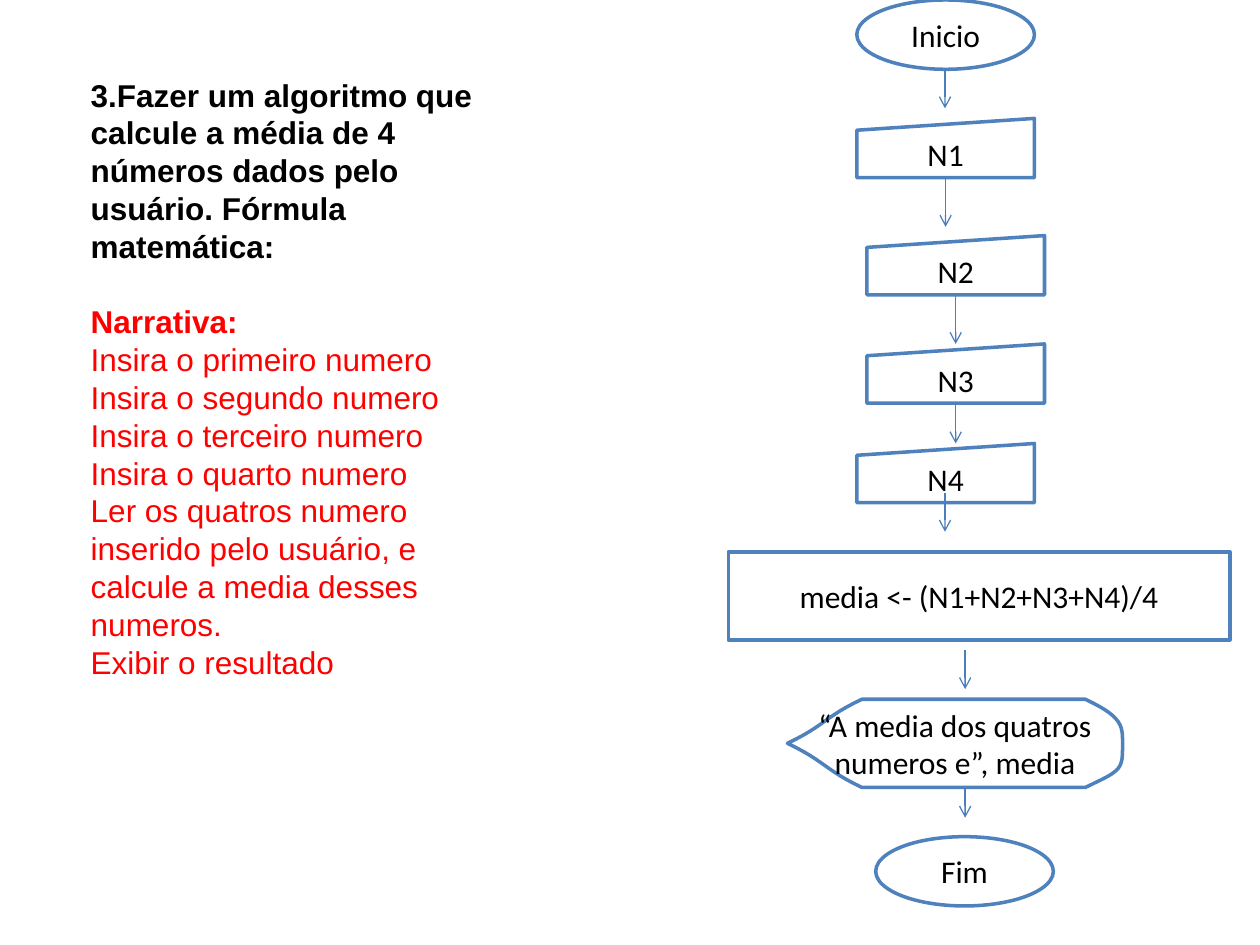
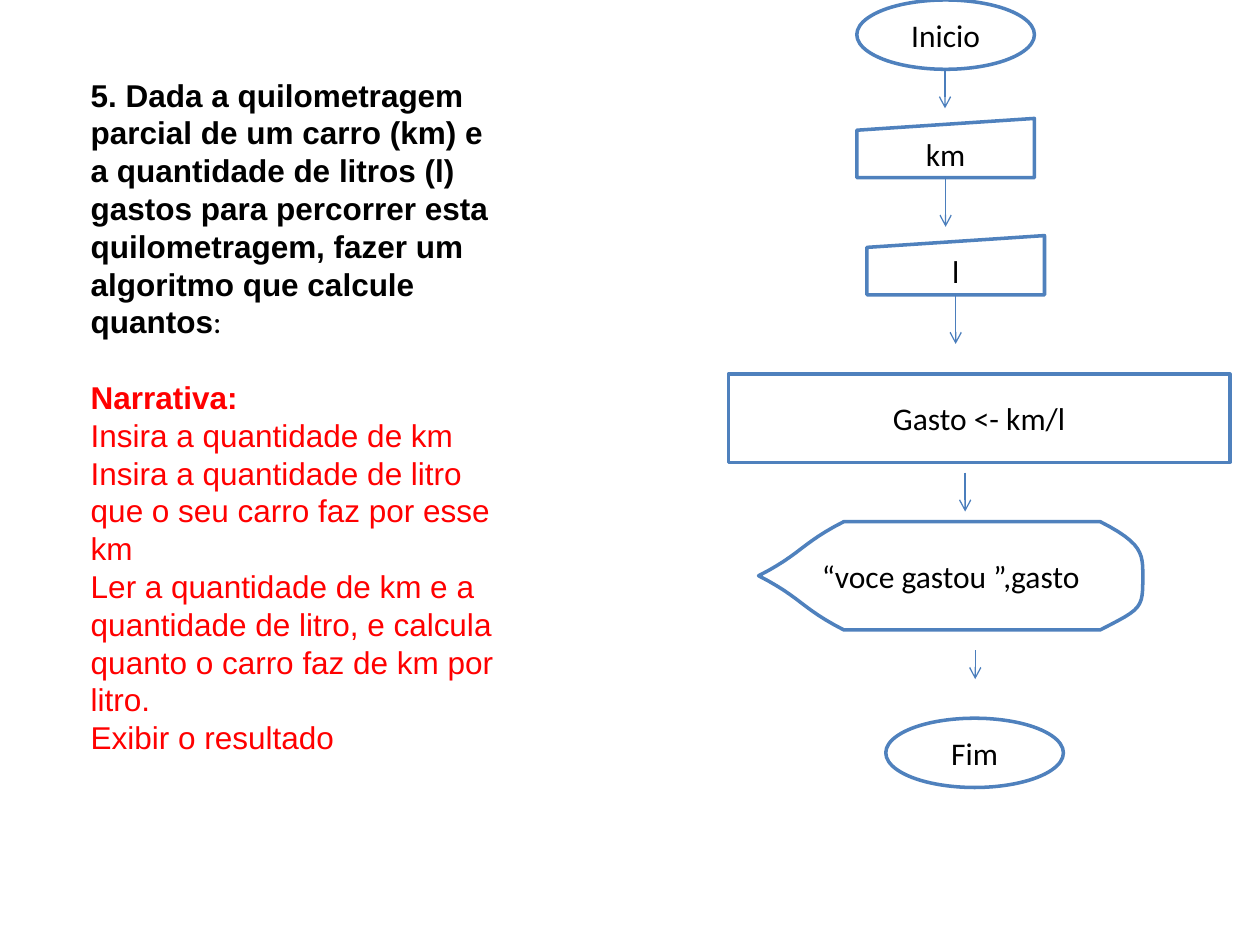
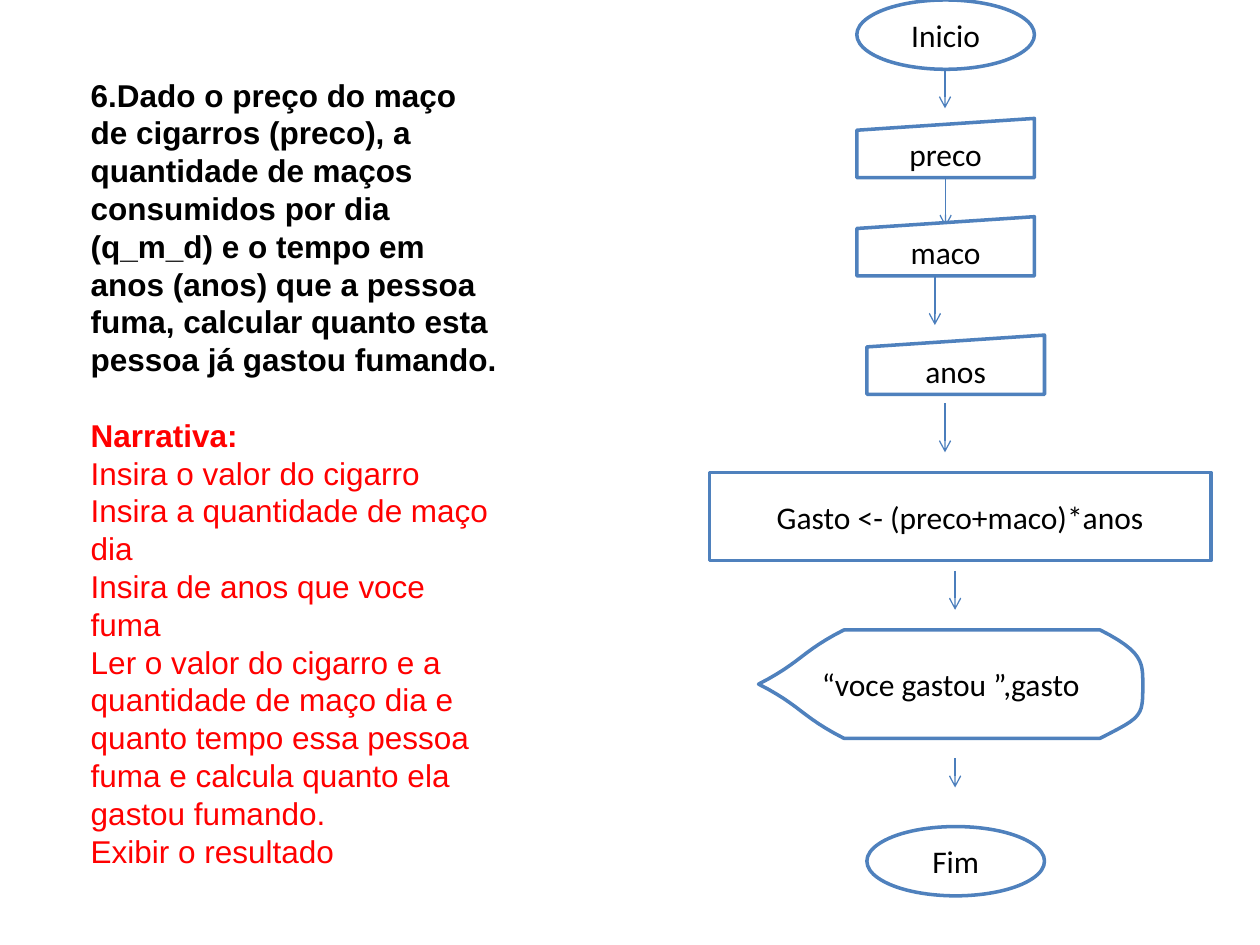
from lxml import etree
from pptx import Presentation
from pptx import util as u
from pptx.dml.color import RGBColor
from pptx.enum import shapes, text
from pptx.oxml.ns import qn

BLACK = RGBColor(0x00, 0x00, 0x00)
WHITE = RGBColor(0xFF, 0xFF, 0xFF)
RED = RGBColor(0xFF, 0x00, 0x00)
OUTLINE = RGBColor(0x4F, 0x81, 0xBD)
ARROW = RGBColor(0x4B, 0x7E, 0xBC)

TEXT_FONT = "Arial"
CHART_FONT = "Calibri"
LINE_HEIGHT = u.Pt(21.6)
BOTTOM = 2

# Display symbol outline as fractions of its width and height
DISPLAY_START = (0, 0.5)
DISPLAY_CURVES = [
    [(0, 0.5), (1 / 9, 0.3), (1 / 9, 0.2), (2 / 9, 0)],
    [(8 / 9, 0), (1, 0.2), (1, 0.3), (1, 0.5)],
    [(1, 0.5), (1, 0.8), (1, 0.8), (8 / 9, 1)],
    [(2 / 9, 1), (1 / 9, 0.8), (1 / 9, 0.7), (0, 0.5)],
]


def add_text(paragraph, content, font=CHART_FONT, color=BLACK, bold=False, size=18):
    run = paragraph.add_run()
    run.text = content
    run.font.name = font
    run.font.size = u.Pt(size)
    run.font.bold = bold
    run.font.color.rgb = color


def curve_points(curve, steps=12):
    """Points along a cubic curve, from its start to its end."""
    for step in range(steps + 1):
        t = step / steps
        weights = ((1 - t) ** 3, 3 * t * (1 - t) ** 2, 3 * t * t * (1 - t), t ** 3)
        yield tuple(sum(w * point[axis] for w, point in zip(weights, curve))
                    for axis in (0, 1))


class FlowchartDeck:
    def __init__(self):
        self.presentation = Presentation()
        self.presentation.slide_width = u.Inches(10)
        self.presentation.slide_height = u.Inches(7.5)
        self.slide = None

    def new_slide(self):
        layout = self.presentation.slide_layouts[1]
        self.slide = self.presentation.slides.add_slide(layout)
        title = self.slide.shapes.title.element
        title.getparent().remove(title)

    # Exercise statement and narrative
    def exercise(self, statement, narrative, height, ending=""):
        body = self.slide.placeholders[1]
        body.left, body.top = u.Inches(0.62), u.Inches(0.55)
        body.width, body.height = u.Inches(3.44), u.Inches(height)
        frame = body.text_frame
        frame.word_wrap = True
        frame.auto_size = text.MSO_AUTO_SIZE.SHAPE_TO_FIT_TEXT
        question = self.plain_paragraph(frame.paragraphs[0])
        add_text(question, statement, font=TEXT_FONT, bold=True)
        if ending:
            add_text(question, ending)
        heading = self.plain_paragraph(frame.add_paragraph(), before=LINE_HEIGHT)
        add_text(heading, "Narrativa:", font=TEXT_FONT, color=RED, bold=True)
        for sentence in narrative:
            paragraph = self.plain_paragraph(frame.add_paragraph())
            add_text(paragraph, sentence, font=TEXT_FONT, color=RED)

    def plain_paragraph(self, paragraph, before=u.Pt(0)):
        paragraph.line_spacing = LINE_HEIGHT
        paragraph.space_before = before
        properties = paragraph._p.get_or_add_pPr()
        properties.set("marL", "0")
        properties.set("indent", "0")
        etree.SubElement(properties, qn("a:buNone"))
        return paragraph

    # Flowchart symbols
    def finish(self, shape, label):
        shape.shadow.inherit = False
        shape.fill.solid()
        shape.fill.fore_color.rgb = WHITE
        shape.line.color.rgb = OUTLINE
        shape.line.width = u.Pt(2)
        frame = shape.text_frame
        frame.word_wrap = True
        frame.vertical_anchor = text.MSO_ANCHOR.MIDDLE
        frame.paragraphs[0].alignment = text.PP_ALIGN.CENTER
        add_text(frame.paragraphs[0], label)
        return shape

    def symbol(self, kind, label, left, top, width, height):
        shape = self.slide.shapes.add_shape(
            kind, u.Inches(left), u.Inches(top), u.Inches(width), u.Inches(height))
        return self.finish(shape, label)

    def terminal(self, label, left, top):
        return self.symbol(shapes.MSO_SHAPE.OVAL, label, left, top, 1.41, 0.55)

    def manual_input(self, label, left, top):
        return self.symbol(shapes.MSO_SHAPE.FLOWCHART_MANUAL_INPUT,
                           label, left, top, 1.41, 0.47)

    def process(self, label, left, top):
        return self.symbol(shapes.MSO_SHAPE.FLOWCHART_PROCESS,
                           label, left, top, 3.98, 0.7)

    def display(self, label, left, top, width, height):
        def place(point):
            return (u.Inches(left + point[0] * width), u.Inches(top + point[1] * height))

        builder = self.slide.shapes.build_freeform(*place(DISPLAY_START))
        outline = [place(point) for curve in DISPLAY_CURVES for point in curve_points(curve)]
        builder.add_line_segments(outline[1:], close=True)
        return self.finish(builder.convert_to_shape(), label)

    # Arrows
    def arrow(self, x, top, bottom):
        return self.draw_arrow(u.Inches(x), u.Inches(top), u.Inches(bottom))

    def arrow_from(self, source, bottom):
        center = source.left + source.width // 2
        connector = self.draw_arrow(center, source.top + source.height, u.Inches(bottom))
        connector.begin_connect(source, BOTTOM)

    def draw_arrow(self, x, top, bottom):
        connector = self.slide.shapes.add_connector(
            shapes.MSO_CONNECTOR.STRAIGHT, x, top, x, bottom)
        connector.line.color.rgb = ARROW
        connector.line.width = u.Pt(0.75)
        line = connector.line._get_or_add_ln()
        etree.SubElement(line, qn("a:tailEnd"), type="arrow")
        etree.SubElement(connector._element.spPr, qn("a:effectLst"))
        return connector

    # Opening steps shared by every flowchart
    def start(self, first_input):
        self.terminal("Inicio", 6.8, 0)
        self.arrow(7.5, 0.55, 0.86)
        self.arrow_from(self.manual_input(first_input, 6.8, 0.94), 1.8)


def average_slide(deck):
    deck.new_slide()
    deck.exercise(
        "3.Fazer um algoritmo que calcule a média de 4 números dados pelo usuário. "
        "Fórmula matemática:",
        ["Insira o primeiro numero",
         "Insira o segundo numero",
         "Insira o terceiro numero",
         "Insira o quarto numero",
         "Ler os quatros numero inserido pelo usuário, e calcule a media desses numeros.",
         "Exibir o resultado"],
        height=4.95)
    deck.start("N1")
    deck.arrow_from(deck.manual_input("N2", 6.88, 1.87), 2.73)
    deck.arrow_from(deck.manual_input("N3", 6.88, 2.73), 3.52)
    deck.manual_input("N4", 6.8, 3.52)
    deck.arrow(7.5, 3.91, 4.22)
    deck.process("media <- (N1+N2+N3+N4)/4", 5.78, 4.38)
    deck.arrow(7.66, 5.16, 5.47)
    deck.display("“A media dos quatros numeros e”, media", 6.25, 5.55, 2.66, 0.7)
    deck.arrow(7.66, 6.25, 6.49)
    deck.terminal("Fim", 6.95, 6.64)


def mileage_slide(deck):
    deck.new_slide()
    deck.exercise(
        "5. Dada a quilometragem parcial de um carro (km) e a quantidade de litros (l) "
        "gastos para percorrer esta quilometragem, fazer um algoritmo que calcule quantos",
        ["Insira a quantidade de km",
         "Insira a quantidade de litro que o seu carro faz por esse km",
         "Ler a quantidade de km e a quantidade de litro, e calcula quanto o carro faz "
         "de km por litro.",
         "Exibir o resultado"],
        height=5.55, ending=":")
    deck.start("km")
    deck.arrow_from(deck.manual_input("l", 6.88, 1.87), 2.73)
    deck.process("Gasto <- km/l", 5.78, 2.97)
    deck.arrow(7.66, 3.75, 4.06)
    deck.display("“voce gastou ”,gasto", 6.02, 4.14, 3.05, 0.86)
    deck.arrow(7.74, 5.16, 5.39)
    deck.terminal("Fim", 7.03, 5.7)


def cigarette_slide(deck):
    deck.new_slide()
    deck.exercise(
        "6.Dado o preço do maço de cigarros (preco), a quantidade de maços consumidos "
        "por dia (q_m_d) e o tempo em anos (anos) que a pessoa fuma, calcular quanto "
        "esta pessoa já gastou fumando.",
        ["Insira o valor do cigarro",
         "Insira a quantidade de maço dia",
         "Insira de anos que voce fuma",
         "Ler o valor do cigarro e a quantidade de maço dia e quanto tempo essa pessoa "
         "fuma e calcula quanto ela gastou fumando.",
         "Exibir o resultado"],
        height=6.46)
    deck.start("preco")
    deck.manual_input("maco", 6.8, 1.72)
    deck.arrow(7.42, 2.19, 2.58)
    deck.manual_input("anos", 6.88, 2.66)
    deck.arrow(7.5, 3.2, 3.59)
    deck.process("Gasto <- (preco+maco)*anos", 5.63, 3.75)
    deck.arrow(7.58, 4.53, 4.84)
    deck.display("“voce gastou ”,gasto", 6.02, 5, 3.05, 0.86)
    deck.arrow(7.58, 6.02, 6.25)
    deck.terminal("Fim", 6.88, 6.56)


def main():
    deck = FlowchartDeck()
    average_slide(deck)
    mileage_slide(deck)
    cigarette_slide(deck)
    deck.presentation.save("out.pptx")


if __name__ == "__main__":
    main()
